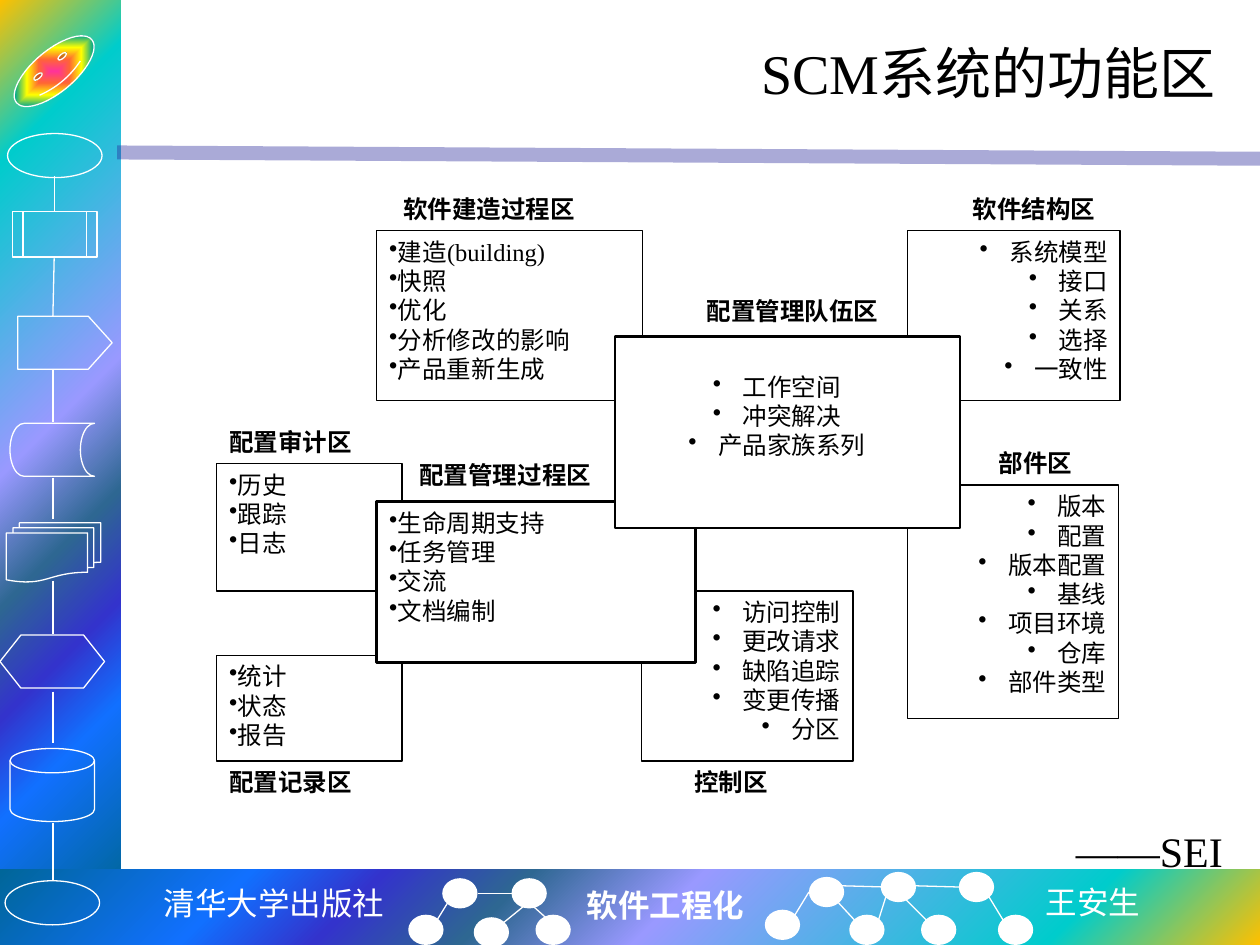
"""Build the slide on the functional areas of an SCM system."""
from dataclasses import dataclass

from lxml.etree import SubElement
from pptx import Presentation
from pptx.dml.color import RGBColor
from pptx.enum.shapes import MSO_CONNECTOR, MSO_SHAPE
from pptx.enum.text import MSO_ANCHOR, PP_ALIGN
from pptx.oxml.ns import qn
from pptx.util import Inches, Pt


@dataclass(frozen=True)
class Theme:
    ink: RGBColor = RGBColor(0, 0, 0)
    white: RGBColor = RGBColor(255, 255, 255)
    divider: RGBColor = RGBColor(0x26, 0x26, 0x99)
    band: tuple = ((0, "FFC000"), (16, "00CCCC"), (47, "9999FF"), (60, "2E6792"),
                   (71, "3333CC"), (81, "1170FF"), (100, "006699"))
    rainbow: tuple = ((0, "FF3399"), (25, "FF6633"), (50, "FFFF00"),
                      (75, "01A78F"), (100, "3366FF"))
    font: str = "Times New Roman"
    mono: str = "Noto Sans Mono"
    sans: str = "Noto Sans CJK SC"
    title: int = 32
    source: int = 24
    footer: int = 18
    body: int = 14
    leading: float = 16.75


theme = Theme()


def format_text(shape, size, color, font=theme.font, bold=False, align=PP_ALIGN.LEFT):
    for paragraph in shape.text_frame.paragraphs:
        paragraph.alignment = align
        for run in paragraph.runs:
            run.font.size = Pt(size)
            run.font.name = font
            run.font.bold = bold
            run.font.color.rgb = color


def fill_gradient(shape, stops, path, focus):
    shape.fill.gradient()
    gradient = shape._element.spPr.find(qn("a:gradFill"))
    gradient.clear()
    stop_list = SubElement(gradient, qn("a:gsLst"))
    for position, color in stops:
        stop = SubElement(stop_list, qn("a:gs"), pos=str(position * 1000))
        SubElement(stop, qn("a:srgbClr"), val=color)
    path_element = SubElement(gradient, qn("a:path"), path=path)
    edges = {edge: str(value * 1000) for edge, value in zip("ltrb", focus)}
    SubElement(path_element, qn("a:fillToRect"), **edges)


presentation = Presentation()
presentation.slide_width = Inches(10)
presentation.slide_height = Inches(7.5)
slide = presentation.slides.add_slide(presentation.slide_layouts[5])
shapes = slide.shapes

for box, focus in [((0, 0, 0.96, 7.09), (0, 0, 100, 100)),
                   ((0, 6.9, 10, 0.6), (100, 100, 0, 0))]:
    band = shapes.add_shape(MSO_SHAPE.RECTANGLE, *map(Inches, box))
    band.shadow.inherit = False
    band.line.fill.background()
    fill_gradient(band, theme.band, "circle", focus)

emblem = shapes.add_shape(MSO_SHAPE.SMILEY_FACE, Inches(0.04), Inches(0.4), Inches(0.78), Inches(0.33))
emblem.rotation = -40
emblem.shadow.inherit = False
emblem.line.color.rgb = theme.white
emblem.line.width = Pt(0.75)
fill_gradient(emblem, theme.rainbow, "rect", (50, 50, 50, 50))

flow_symbols = [
    (MSO_SHAPE.OVAL, 0.06, 1.06, 0.75, 0.35),
    (MSO_SHAPE.FLOWCHART_PREDEFINED_PROCESS, 0.1, 1.68, 0.67, 0.36),
    (MSO_SHAPE.PENTAGON, 0.14, 2.51, 0.75, 0.42),
    (MSO_SHAPE.FLOWCHART_STORED_DATA, 0.08, 3.36, 0.67, 0.42),
    (MSO_SHAPE.FLOWCHART_MULTIDOCUMENT, 0.05, 4.15, 0.75, 0.47),
    (MSO_SHAPE.FLOWCHART_PREPARATION, 0, 5.04, 0.83, 0.42),
    (MSO_SHAPE.FLOWCHART_MAGNETIC_DISK, 0.08, 5.94, 0.67, 0.58),
    (MSO_SHAPE.OVAL, 0.04, 6.99, 0.75, 0.35),
]
for kind, *box in flow_symbols:
    symbol = shapes.add_shape(kind, *map(Inches, box))
    symbol.shadow.inherit = False
    symbol.fill.background()
    symbol.line.color.rgb = theme.white
    symbol.line.width = Pt(0.75)
    if kind == MSO_SHAPE.PENTAGON:
        symbol.adjustments[0] = 0.45

tree_nodes = [(3.51, 6.97), (4.06, 6.97), (3.24, 7.26), (3.76, 7.28), (4.25, 7.26),
              (6.42, 6.96), (6.99, 6.92), (7.61, 6.92), (6.07, 7.22), (6.74, 7.26),
              (7.31, 7.26), (7.92, 7.26)]
for left, top in tree_nodes:
    node = shapes.add_shape(MSO_SHAPE.OVAL, Inches(left), Inches(top), Inches(0.28), Inches(0.24))
    node.shadow.inherit = False
    node.fill.solid()
    node.fill.fore_color.rgb = theme.white
    node.line.fill.background()

divider_ends = (0.93, 1.21, 10, 1.26)
flow_links = [
    (0.43, 1.4, 0.43, 1.68), (0.43, 2.05, 0.42, 2.51), (0.42, 2.93, 0.42, 3.35),
    (0.42, 3.79, 0.42, 4.12), (0.42, 4.61, 0.42, 5.03), (0.42, 5.49, 0.42, 5.9),
    (0.42, 6.53, 0.42, 6.99),
]
tree_links = [
    (3.47, 7.3, 3.55, 7.17), (4, 7.32, 4.16, 7.19), (4.06, 7.09, 3.79, 7.09),
    (4.34, 7.29, 4.24, 7.2), (6.78, 7.3, 6.65, 7.16), (7.35, 7.3, 7.15, 7.1),
    (7.96, 7.3, 7.85, 7.12), (6.97, 7.31, 7.03, 7.12), (7.26, 7.03, 7.61, 7.04),
    (6.31, 7.26, 6.42, 7.08), (6.68, 7.03, 7.03, 7.04),
]
for ends in [divider_ends, *flow_links, *tree_links]:
    is_divider = ends == divider_ends
    link = shapes.add_connector(MSO_CONNECTOR.STRAIGHT, *map(Inches, ends))
    link.line.color.rgb = theme.divider if is_divider else theme.white
    link.line.width = Pt(8 if is_divider else 0.75)
    properties = link._element.spPr
    if is_divider:
        SubElement(properties.find(".//" + qn("a:srgbClr")), qn("a:alpha"), val="39000")
    SubElement(properties, qn("a:effectLst"))

title = shapes.title
title.left, title.top, title.width, title.height = map(Inches, (1.25, 0.17, 8.5, 0.81))
title.text_frame.text = "SCM系统的功能区"
title.text_frame.vertical_anchor = MSO_ANCHOR.MIDDLE
format_text(title, theme.title, theme.ink, align=PP_ALIGN.RIGHT)

left, center, right = PP_ALIGN.LEFT, PP_ALIGN.CENTER, PP_ALIGN.RIGHT
panels = [
    ((2.99, 1.83, 2.11, 1.35), 0.75, left, ["建造(building)", "快照", "优化", "分析修改的影响", "产品重新生成"]),
    ((7.2, 1.83, 1.69, 1.35), 0.75, right, ["系统模型", "接口", "关系", "选择", "一致性"]),
    ((1.72, 3.68, 1.47, 1.01), 0.75, left, ["历史", "跟踪", "日志"]),
    ((1.72, 5.2, 1.47, 0.84), 0.75, left, ["统计", "状态", "报告"]),
    ((5.09, 4.69, 1.68, 1.35), 0.75, right, ["访问控制", "更改请求", "缺陷追踪", "变更传播", "分区"]),
    ((7.2, 3.85, 1.68, 1.85), 0.75, right,
     ["版本", "配置", "版本配置", "基线", "项目环境", "仓库", "部件类型"]),
    ((2.99, 3.98, 2.53, 1.28), 1.5, left, ["生命周期支持", "任务管理", "交流", "文档编制"]),
    ((4.88, 2.67, 2.74, 1.52), 1.5, center, ["工作空间", "冲突解决", "产品家族系列"]),
]
for box, border, align, items in panels:
    panel = shapes.add_shape(MSO_SHAPE.RECTANGLE, *map(Inches, box))
    panel.shadow.inherit = False
    panel.fill.solid()
    panel.fill.fore_color.rgb = theme.white
    panel.line.color.rgb = theme.ink
    panel.line.width = Pt(border)
    frame = panel.text_frame
    frame.word_wrap = True
    frame.vertical_anchor = MSO_ANCHOR.TOP
    frame.margin_top = Inches(0.28 if align == center else 0.05)
    frame.text = "\n".join(items)
    for paragraph in frame.paragraphs:
        SubElement(paragraph._p.get_or_add_pPr(), qn("a:buChar"), char="•")
        paragraph.line_spacing = Pt(theme.leading)
    format_text(panel, theme.body, theme.ink, align=align)

area_labels = [
    ("软件建造过程区", 3.1, 1.49, 1.68), ("软件结构区", 7.62, 1.49, 1.26),
    ("配置管理队伍区", 5.51, 2.3, 1.59), ("配置审计区", 1.72, 3.34, 1.3),
    ("配置记录区", 1.72, 6.04, 1.26), ("控制区", 5.41, 6.04, 1.18),
    ("部件区", 7.83, 3.51, 1.16), ("配置管理过程区", 3.23, 3.6, 1.65),
]
for text, x, y, width in area_labels:
    label = shapes.add_textbox(Inches(x), Inches(y), Inches(width), Inches(0.34))
    label.text_frame.word_wrap = True
    label.text_frame.text = text
    label.text_frame.paragraphs[0].line_spacing = Pt(theme.leading)
    format_text(label, theme.body, theme.ink, bold=True)

captions = [
    ("清华大学出版社", (1.19, 6.97, 1.97, 0.4), theme.footer, theme.white, theme.mono, False, center),
    ("软件工程化", (4.56, 6.98, 1.46, 0.4), theme.footer, theme.white, theme.font, True, left),
    ("王安生", (8.2, 6.96, 0.96, 0.4), theme.footer, theme.white, theme.sans, False, left),
    ("——SEI", (8.44, 6.5, 1.38, 0.5), theme.source, theme.ink, theme.font, False, left),
]
for text, box, *style in captions:
    caption = shapes.add_textbox(*map(Inches, box))
    caption.text_frame.word_wrap = False
    caption.text_frame.text = text
    format_text(caption, *style)

presentation.save("out.pptx")
